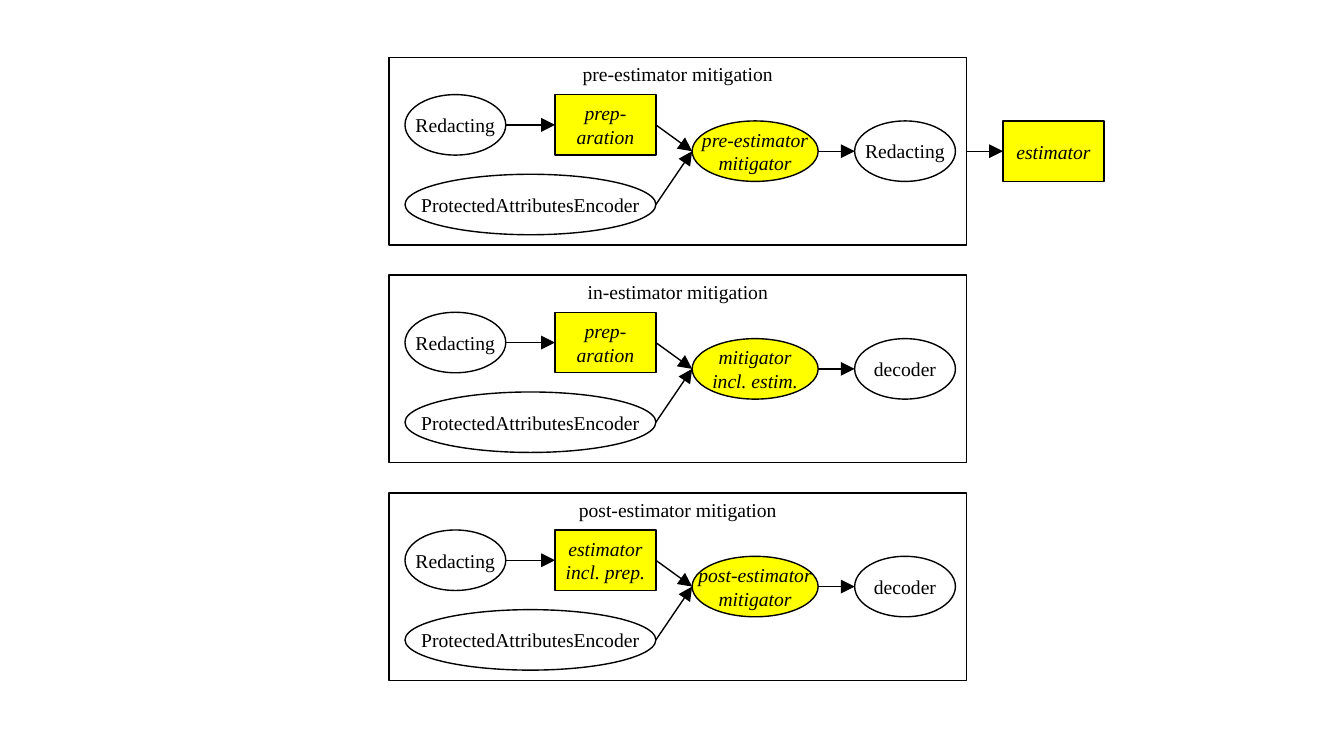
from lxml import etree
from pptx import Presentation
from pptx.dml.color import RGBColor
from pptx.enum import shapes, text
from pptx.oxml import ns
from pptx.util import Pt

PIPELINES = [
    ("pre-estimator mitigation", "prep-aration", "pre-estimator\nmitigator", "Redacting"),
    ("in-estimator mitigation", "prep-aration", "mitigator\nincl. estim.", "decoder"),
    ("post-estimator mitigation", "estimator incl. prep.", "post-estimator\nmitigator", "decoder"),
]
BLACK, YELLOW = "000000", "FFFF00"
RECT, OVAL = shapes.MSO_SHAPE.RECTANGLE, shapes.MSO_SHAPE.OVAL

FRAME_LEFT, FRAME_TOP, FRAME_WIDTH, FRAME_HEIGHT = 278, 41, 412.5, 134
FRAME_STEP = 155.5
STEP_WIDTH, STEP_HEIGHT = 72, 43.2
REDACT_LEFT, PREP_LEFT, MITIGATOR_LEFT, OUTPUT_LEFT, ESTIMATOR_LEFT = 289.3, 396.5, 494.4, 610.5, 716.5
MITIGATOR_WIDTH = 90
ENCODER_WIDTH = PREP_LEFT + STEP_WIDTH - REDACT_LEFT
UPPER, MIDDLE, LOWER = 48.2, FRAME_HEIGHT / 2, 105.1

deck = Presentation()
deck.slide_width, deck.slide_height = Pt(960), Pt(540)
slide = deck.slides.add_slide(deck.slide_layouts[6])


def color(value):
    return RGBColor.from_string(value)


def add_node(kind, label, left, center, width=STEP_WIDTH, height=STEP_HEIGHT,
             fill=None, anchor=text.MSO_ANCHOR.MIDDLE):
    node = slide.shapes.add_shape(kind, Pt(left), Pt(center - height / 2), Pt(width), Pt(height))
    node.shadow.inherit = False
    if fill:
        node.fill.solid()
        node.fill.fore_color.rgb = color(fill)
    else:
        node.fill.background()
    node.line.color.rgb = color(BLACK)
    node.line.width = Pt(1)
    frame = node.text_frame
    frame.vertical_anchor = anchor
    frame.word_wrap = kind == RECT
    if kind == OVAL:
        frame.margin_left = frame.margin_right = frame.margin_top = frame.margin_bottom = 0
    paragraph = frame.paragraphs[0]
    paragraph.text = label
    paragraph.alignment = text.PP_ALIGN.CENTER
    paragraph.font.name = "Times New Roman"
    paragraph.font.size = Pt(14)
    paragraph.font.italic = bool(fill)
    paragraph.font.color.rgb = color(BLACK)
    return node


def add_arrow(source, target):
    arrow = slide.shapes.add_connector(
        shapes.MSO_CONNECTOR.STRAIGHT,
        source.left + source.width, source.top + source.height // 2,
        target.left, target.top + target.height // 2)
    arrow.line.color.rgb = color(BLACK)
    arrow.line.width = Pt(1)
    etree.SubElement(arrow.line._get_or_add_ln(), ns.qn("a:tailEnd"),
                     type="triangle", w="lg", len="lg")
    etree.SubElement(arrow._element.spPr, ns.qn("a:effectLst"))


panels = []
for row, (title, preparation, mitigator, output) in enumerate(PIPELINES):
    top = FRAME_TOP + row * FRAME_STEP
    panels.append(add_node(RECT, title, FRAME_LEFT, top + MIDDLE, FRAME_WIDTH, FRAME_HEIGHT,
                           anchor=text.MSO_ANCHOR.TOP))
    redact_step = add_node(OVAL, "Redacting", REDACT_LEFT, top + UPPER)
    prep_step = add_node(RECT, preparation, PREP_LEFT, top + UPPER, fill=YELLOW)
    encoder_step = add_node(OVAL, "ProtectedAttributesEncoder", REDACT_LEFT, top + LOWER, ENCODER_WIDTH)
    mitigator_step = add_node(OVAL, mitigator, MITIGATOR_LEFT, top + MIDDLE, MITIGATOR_WIDTH, fill=YELLOW)
    output_step = add_node(OVAL, output, OUTPUT_LEFT, top + MIDDLE)
    for source, target in [(redact_step, prep_step), (prep_step, mitigator_step),
                           (encoder_step, mitigator_step), (mitigator_step, output_step)]:
        add_arrow(source, target)

estimator = add_node(RECT, "estimator", ESTIMATOR_LEFT, FRAME_TOP + MIDDLE, fill=YELLOW)
add_arrow(panels[0], estimator)

deck.save("out.pptx")
